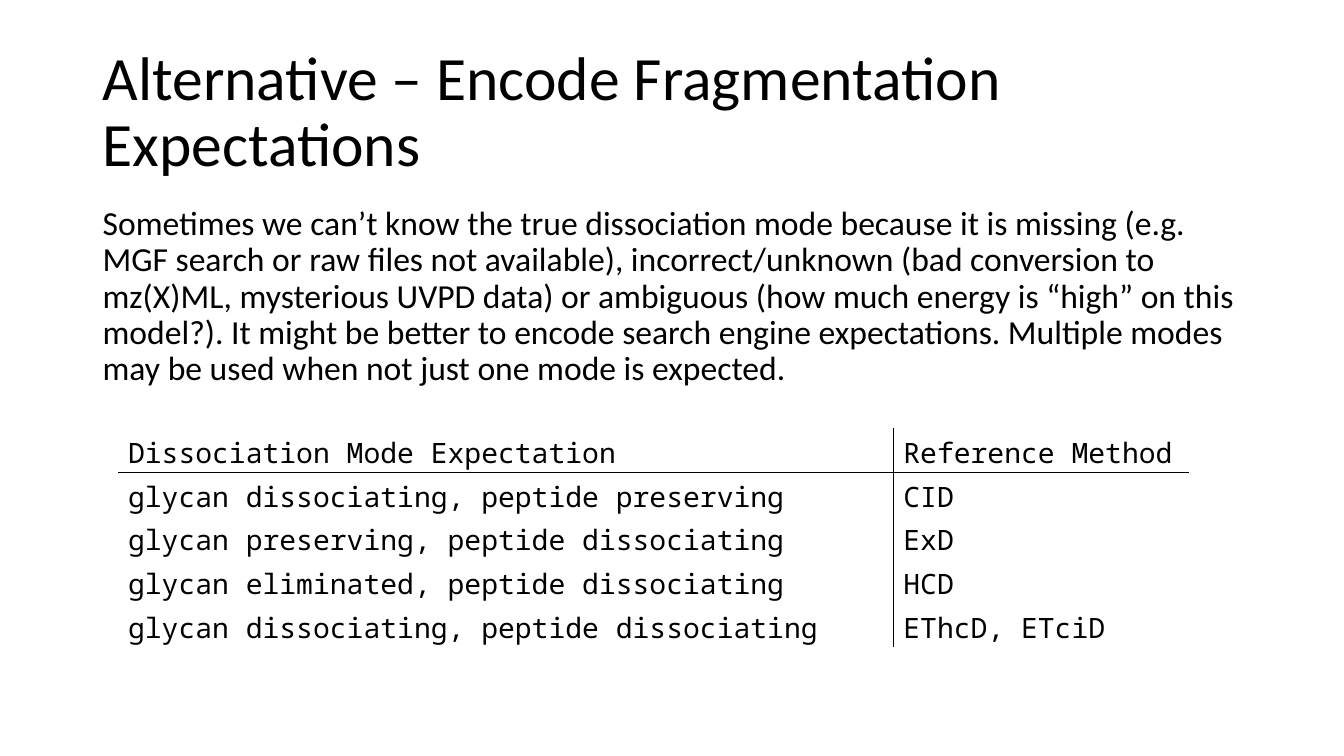
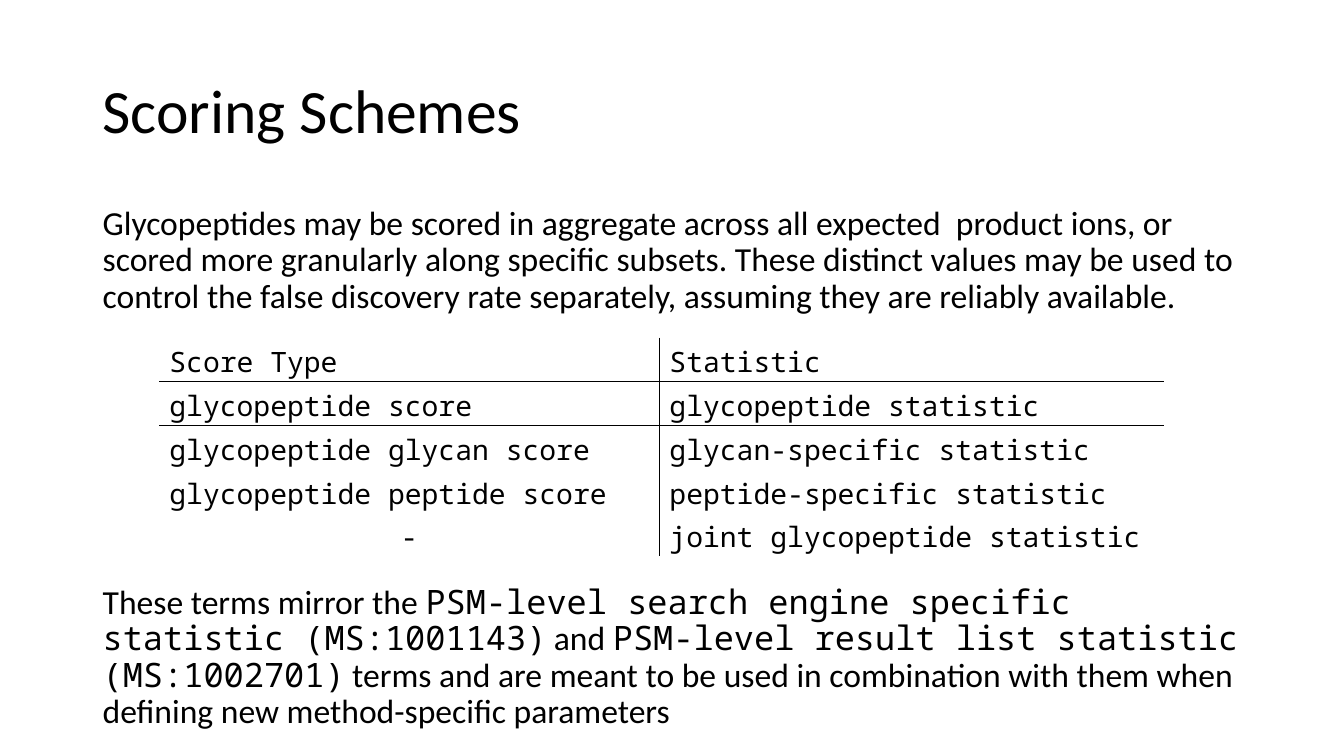
import pptx
import pptx.util
import pptx.dml.color
import pptx.enum.text
import pptx.oxml
import pptx.oxml.ns
from pptx.util import Inches

SANS = "Calibri"
MONO = "Noto Sans Mono"
BLACK = "000000"
LEFT, WIDTH = 0.92, 11.5
MIDDLE = pptx.enum.text.MSO_ANCHOR.MIDDLE
CENTER = pptx.enum.text.PP_ALIGN.CENTER


def rgb(value):
    return pptx.dml.color.RGBColor.from_string(value)


def add_text(p, text, font=SANS, size=24, color=BLACK, align=None, line=None, before=None):
    r = p.add_run()
    r.text = text
    r.font.name = font
    r.font.size = pptx.util.Pt(size)
    r.font.color.rgb = rgb(color)
    if align is not None:
        p.alignment = align
    if line is not None:
        p.line_spacing = line
    if before is not None:
        p.space_before = pptx.util.Pt(before)


def set_border(cell, side, visible):
    if visible:
        width = pptx.util.Pt(1)
        paint = f'<a:solidFill><a:srgbClr val="{BLACK}"/></a:solidFill>'
    else:
        width, paint = 0, "<a:noFill/>"
    ns = pptx.oxml.ns.nsdecls("a")
    xml = f'<a:ln{side} {ns} w="{width}">{paint}</a:ln{side}>'
    cell._tc.get_or_add_tcPr().append(pptx.oxml.parse_xml(xml))


class Deck:
    def __init__(self):
        self.prs = pptx.Presentation()
        self.prs.slide_width = Inches(13.33)
        self.prs.slide_height = Inches(7.5)
        self.s = None

    def slide(self, title):
        self.s = self.prs.slides.add_slide(self.prs.slide_layouts[6])
        tf = self.text_frame(0.4, 1.45)
        tf.vertical_anchor = MIDDLE
        add_text(tf.paragraphs[0], title, size=44, line=0.9)

    def text_frame(self, top, height):
        sp = self.s.shapes.add_textbox(Inches(LEFT), Inches(top), Inches(WIDTH), Inches(height))
        tf = sp.text_frame
        tf.word_wrap = True
        return tf

    def body(self, top, height, *runs):
        p = self.text_frame(top, height).paragraphs[0]
        for text, font in runs:
            add_text(p, text, font=font, line=0.9, before=10)

    def table(self, left, top, widths, rows, ruled_rows):
        row_height = 0.41
        sp = self.s.shapes.add_table(len(rows), len(widths), Inches(left), Inches(top),
                                     Inches(sum(widths)), Inches(row_height * len(rows)))
        table = sp.table
        table.first_row = False
        table.horz_banding = False
        for column, width in zip(table.columns, widths):
            column.width = Inches(width)
        for i, values in enumerate(rows):
            table.rows[i].height = Inches(row_height)
            for j, value in enumerate(values):
                cell = table.cell(i, j)
                set_border(cell, "L", j > 0)
                set_border(cell, "R", j < len(widths) - 1)
                set_border(cell, "T", i - 1 in ruled_rows)
                set_border(cell, "B", i in ruled_rows)
                cell.fill.background()
                add_text(cell.text_frame.paragraphs[0], value, font=MONO, size=20,
                         align=CENTER if value == "-" else None)


deck = Deck()

deck.slide("Alternative – Encode Fragmentation Expectations")
deck.body(2, 2.1, (
    "Sometimes we can’t know the true dissociation mode because it is missing "
    "(e.g. MGF search or raw files not available), incorrect/unknown (bad conversion to "
    "mz(X)ML, mysterious UVPD data) or ambiguous (how much energy is “high” on this "
    "model?). It might be better to encode search engine expectations. Multiple modes "
    "may be used when not just one mode is expected.", SANS))
deck.table(1.17, 4.25, [7.69, 2.93], [
    ("Dissociation Mode Expectation", "Reference Method"),
    ("glycan dissociating, peptide preserving", "CID"),
    ("glycan preserving, peptide dissociating", "ExD"),
    ("glycan eliminated, peptide dissociating", "HCD"),
    ("glycan dissociating, peptide dissociating", "EThcD, ETciD"),
], ruled_rows=[0])

deck.slide("Scoring Schemes")
deck.body(2, 1.35, (
    "Glycopeptides may be scored in aggregate across all expected  product ions, or "
    "scored more granularly along specific subsets. These distinct values may be used to "
    "control the false discovery rate separately, assuming they are reliably available.", SANS))
deck.table(1.58, 3.35, [4.96, 5], [
    ("Score Type", "Statistic"),
    ("glycopeptide score", "glycopeptide statistic"),
    ("glycopeptide glycan score", "glycan-specific statistic"),
    ("glycopeptide peptide score", "peptide-specific statistic"),
    ("-", "joint glycopeptide statistic"),
], ruled_rows=[0, 1])
deck.body(
    5.76, 1.65,
    ("These terms mirror the ", SANS),
    ("PSM-level search engine specific statistic (MS:1001143)", MONO),
    (" and ", SANS),
    ("PSM-level result list statistic (MS:1002701)", MONO),
    (" terms and are meant to be used in combination with them when "
     "defining new method-specific parameters", SANS))

deck.prs.save("out.pptx")
